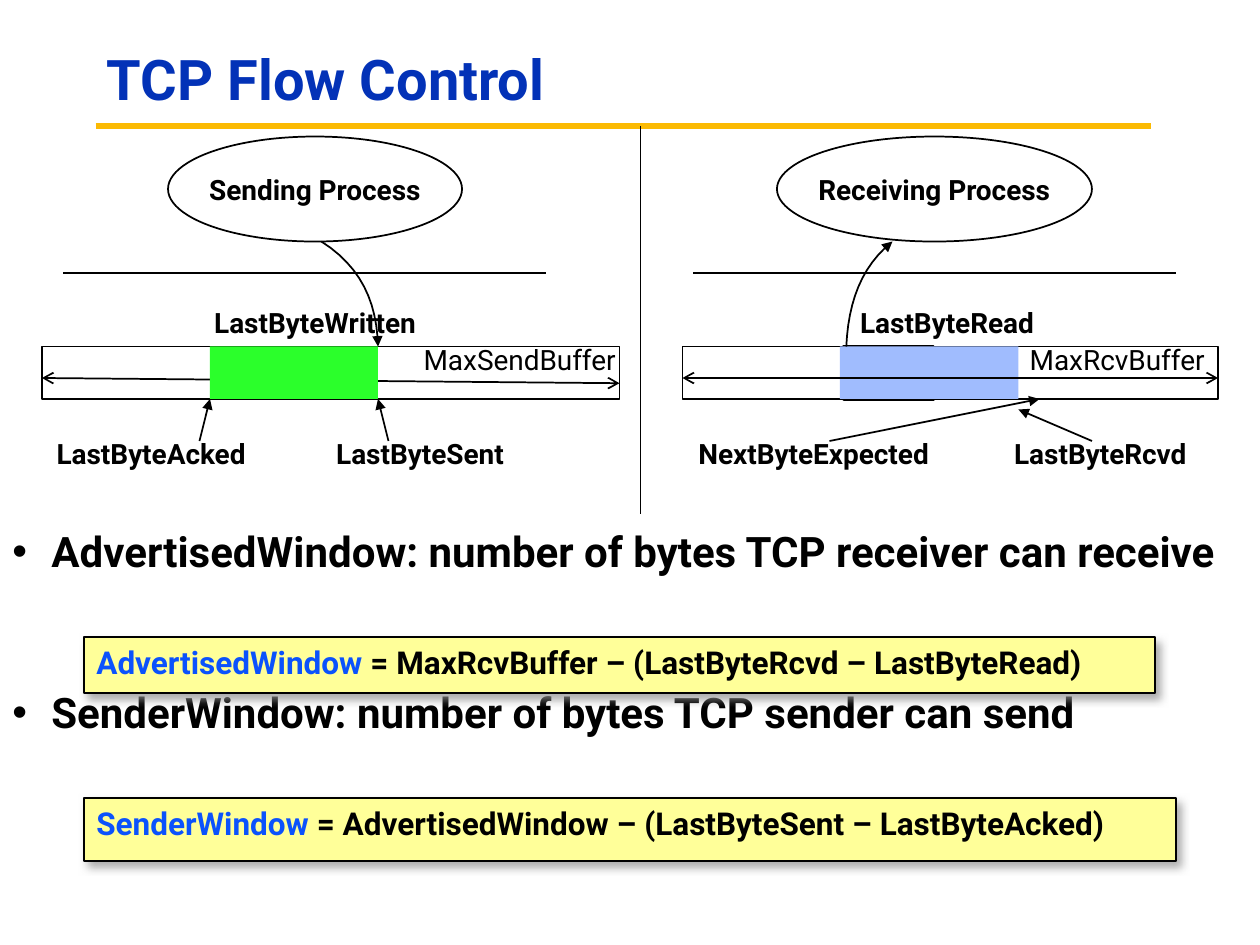
"""Build the TCP flow control slide on a grid of 120 columns by 90 rows."""
from dataclasses import dataclass

from lxml import etree
from pptx import Presentation
from pptx.dml.color import RGBColor
from pptx.enum.shapes import MSO_CONNECTOR, MSO_SHAPE
from pptx.enum.text import MSO_ANCHOR, PP_ALIGN
from pptx.oxml import parse_xml
from pptx.oxml.ns import nsdecls, qn
from pptx.util import Inches, Pt

STRAIGHT = MSO_CONNECTOR.STRAIGHT
RECTANGLE, OVAL = MSO_SHAPE.RECTANGLE, MSO_SHAPE.OVAL
TOP, MIDDLE = MSO_ANCHOR.TOP, MSO_ANCHOR.MIDDLE
LEFT, CENTER = PP_ALIGN.LEFT, PP_ALIGN.CENTER


@dataclass(frozen=True)
class Theme:
    font: str = "Roboto"
    title: str = "0332B7"
    rule: str = "FBBA03"
    ink: str = "000000"
    sent: str = "2BFF2B"
    received: str = "A0BCFE"
    formula: str = "FFFF99"
    term: str = "0B52FC"
    shadow: str = "919191"
    title_size: int = 32
    body_size: int = 24
    formula_size: int = 18
    label_size: int = 16


theme = Theme()
deck = Presentation()
deck.slide_width, deck.slide_height = Inches(10), Inches(7.5)
column, row = deck.slide_width / 120, deck.slide_height / 90
page = deck.slides.add_slide(deck.slide_layouts[6])
shapes = page.shapes


def write(para, pieces, size, bold=True, align=LEFT):
    para.alignment = align
    for text, color in pieces:
        span = para.add_run()
        span.text = text
        span.font.name, span.font.size, span.font.bold = theme.font, Pt(size), bold
        span.font.color.rgb = RGBColor.from_string(color)


def draw_line(start, end, color=theme.ink, width=1, head=None, tail=None):
    line = shapes.add_connector(
        STRAIGHT, *(round(n) for n in (start[0] * column, start[1] * row, end[0] * column, end[1] * row))
    )
    line.line.color.rgb = RGBColor.from_string(color)
    line.line.width = Pt(width)
    properties = line._element.spPr
    for tag, kind in (("a:headEnd", head), ("a:tailEnd", tail)):
        if kind:
            etree.SubElement(properties.find(qn("a:ln")), qn(tag), type=kind)
    etree.SubElement(properties, qn("a:effectLst"))


draw_line((9.1, 12), (109.6, 12), theme.rule, 3.75)
title = shapes.add_textbox(round(9 * column), round(3 * row), round(101 * column), round(9.7 * row))
title.text_frame.word_wrap = True
title.text_frame.vertical_anchor = MIDDLE
title_para = title.text_frame.paragraphs[0]
title_para.line_spacing = 0.9
write(title_para, [("TCP Flow Control", theme.title)], theme.title_size)
draw_line((61, 12), (61, 49))

body = shapes.add_textbox(0, round(50 * row), deck.slide_width, round(25 * row))
body.text_frame.word_wrap = True
statements = (
    "AdvertisedWindow: number of bytes TCP receiver can receive",
    "SenderWindow: number of bytes TCP sender can send",
)
for index, statement in enumerate(statements):
    para = body.text_frame.add_paragraph() if index else body.text_frame.paragraphs[0]
    para.line_spacing = 0.9
    para.space_before = Pt(66 * index)
    settings = para._p.get_or_add_pPr()
    settings.set("marL", str(Inches(0.31)))
    settings.set("indent", str(-Inches(0.31)))
    etree.SubElement(settings, qn("a:buFont"), typeface="Arial")
    etree.SubElement(settings, qn("a:buChar"), char="•")
    write(para, [(statement, theme.ink)], theme.body_size)

draw_line((4, 36), (59, 36.5), head="arrow", tail="arrow")

blocks = (
    (OVAL, 16, 13, 28, 10, None, 1, "Sending Process"),
    (OVAL, 74, 13, 30, 10, None, 1, "Receiving Process"),
    (RECTANGLE, 4, 33, 55, 5, None, 1, ""),
    (RECTANGLE, 65, 33, 51, 5, None, 1, ""),
    (RECTANGLE, 80.4, 33, 8.5, 5, None, 2, ""),
    (RECTANGLE, 20, 33, 16, 5, theme.sent, 0, ""),
    (RECTANGLE, 80, 33, 17, 5, theme.received, 0, ""),
)
for kind, left, top, width, height, fill, outline, text in blocks:
    block = shapes.add_shape(
        kind, round(left * column), round(top * row), round(width * column), round(height * row)
    )
    block.shadow.inherit = False
    if fill:
        block.fill.solid()
        block.fill.fore_color.rgb = RGBColor.from_string(fill)
    else:
        block.fill.background()
    if outline:
        block.line.color.rgb = RGBColor.from_string(theme.ink)
        block.line.width = Pt(outline)
    else:
        block.line.fill.background()
    if text:
        block.text_frame.word_wrap = False
        block.text_frame.vertical_anchor = MIDDLE
        write(block.text_frame.paragraphs[0], [(text, theme.ink)], theme.label_size, align=CENTER)

draw_line((65, 36), (116, 36), head="arrow", tail="arrow")
for left in (6, 66):
    draw_line((left, 26), (left + 46, 26))

pointers = (
    ((19, 42), (20, 38)),
    ((37, 42), (36, 38)),
    ((79, 42), (99, 38)),
    ((104, 42), (97, 39)),
)
for start, end in pointers:
    draw_line(start, end, tail="triangle")

curves = (
    ("a:tailEnd", (30.6, 23), (34.4, 25.4), (35.9, 28.8), (36, 33)),
    ("a:headEnd", (85, 23), (82, 25.4), (80.8, 28.8), (80.6, 33)),
)
steps = 12
for arrow_end, *controls in curves:
    points = []
    for step in range(steps + 1):
        t = step / steps
        weights = ((1 - t) ** 3, 3 * t * (1 - t) ** 2, 3 * t**2 * (1 - t), t**3)
        x, y = (sum(w * p[axis] for w, p in zip(weights, controls)) for axis in (0, 1))
        points.append((round(x * column), round(y * row)))
    builder = shapes.build_freeform(*points[0])
    builder.add_line_segments(points[1:], close=False)
    curve = builder.convert_to_shape()
    curve.shadow.inherit = False
    curve.fill.background()
    curve.line.color.rgb = RGBColor.from_string(theme.ink)
    curve.line.width = Pt(1)
    etree.SubElement(curve._element.spPr.find(qn("a:ln")), qn(arrow_end), type="triangle")

labels = (
    ("LastByteWritten", 30, 28.5, 23.9, True),
    ("LastByteRead", 90.2, 28.5, 20.4, True),
    ("LastByteAcked", 14.4, 41, 21.8, True),
    ("LastByteSent", 40, 41, 19.6, True),
    ("NextByteExpected", 77.5, 41, 26.9, True),
    ("LastByteRcvd", 104.8, 41, 20.4, True),
    ("MaxSendBuffer", 49.5, 32, 20.9, False),
    ("MaxRcvBuffer", 106.4, 32, 19.3, False),
)
for text, middle, top, width, bold in labels:
    label = shapes.add_textbox(
        round((middle - width / 2) * column), round(top * row), round(width * column), round(4.4 * row)
    )
    label.text_frame.word_wrap = False
    write(label.text_frame.paragraphs[0], [(text, theme.ink)], theme.label_size, bold, CENTER)

formulas = (
    (60.7, 102, 5.3, "AdvertisedWindow", " = MaxRcvBuffer – (LastByteRcvd – LastByteRead)"),
    (76, 104, 6, "SenderWindow", " = AdvertisedWindow – (LastByteSent – LastByteAcked)"),
)
for top, width, height, term, expression in formulas:
    box = shapes.add_shape(
        RECTANGLE, round(8 * column), round(top * row), round(width * column), round(height * row)
    )
    box.fill.solid()
    box.fill.fore_color.rgb = RGBColor.from_string(theme.formula)
    box.line.color.rgb = RGBColor.from_string(theme.ink)
    box.line.width = Pt(1)
    box._element.spPr.append(parse_xml(
        f'<a:effectLst {nsdecls("a")}><a:outerShdw blurRad="{Pt(5)}" dist="{Pt(3.7)}" dir="3300000">'
        f'<a:srgbClr val="{theme.shadow}"><a:alpha val="75000"/></a:srgbClr></a:outerShdw></a:effectLst>'
    ))
    box.text_frame.word_wrap = False
    box.text_frame.vertical_anchor = TOP
    pieces = [(term, theme.term), (expression, theme.ink)]
    write(box.text_frame.paragraphs[0], pieces, theme.formula_size)

deck.save("out.pptx")
